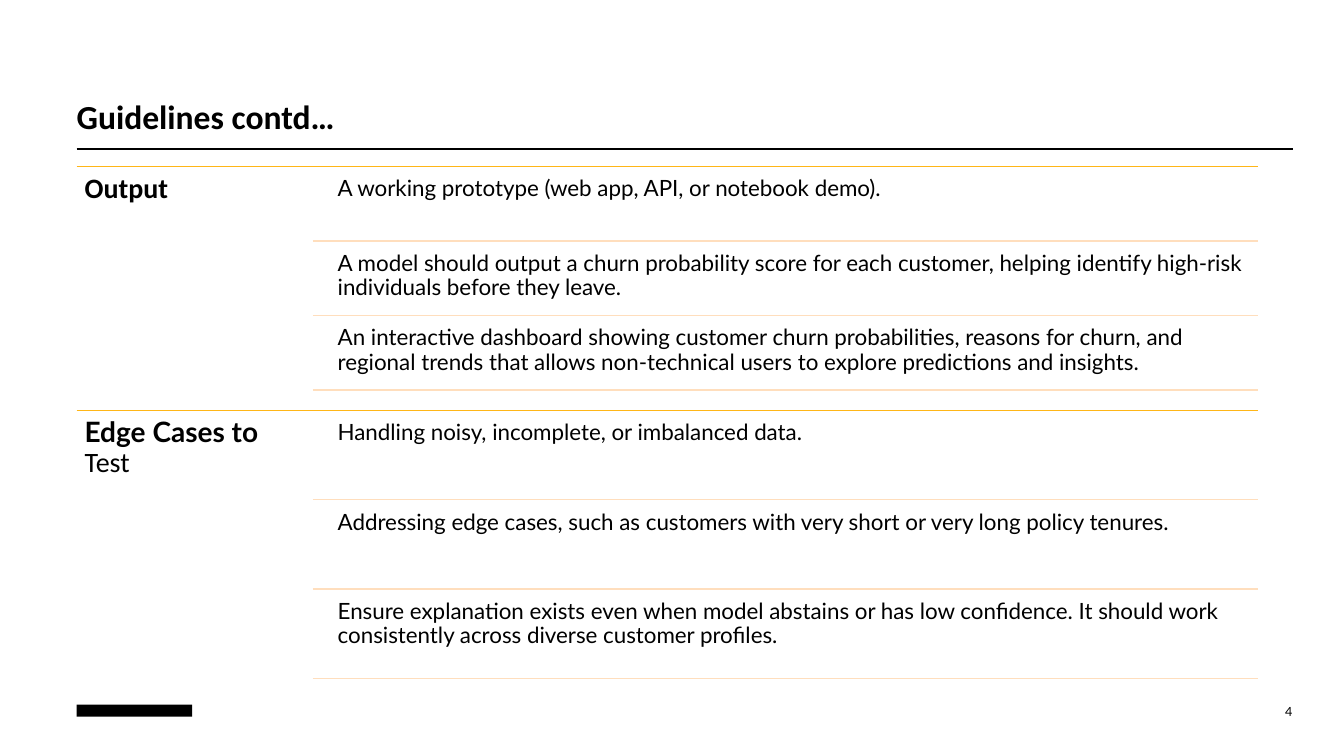
from lxml.etree import SubElement
from pptx import Presentation
from pptx.dml.color import RGBColor as Rgb
from pptx.enum.shapes import MSO_CONNECTOR as Conn, MSO_SHAPE as Kind
from pptx.enum.text import MSO_ANCHOR as Anchor, PP_ALIGN as Align
from pptx.oxml.ns import qn
from pptx.util import Inches, Pt

WIDE, HIGH = 13.33, 7.5
COL, ROW = WIDE / 100, HIGH / 100
LEFT = 5.7
COLORS = {"ink": "000000", "gold": "FFB617", "sand": "FFDEBD"}
TOPICS = [
    ((LEFT, 22, 87.92, 29.6), [("Output", "Calibri", True)], [
        "A working prototype (web app, API, or notebook demo).",
        "A model should output a churn probability score for each customer, "
        "helping identify high-risk individuals before they leave.",
        "An interactive dashboard showing customer churn probabilities, reasons for churn, "
        "and regional trends that allows non-technical users to explore predictions and insights.",
    ]),
    ((LEFT, 54.27, 87.92, 35.47), [("Edge Cases to ", "Lato", True), ("Test", "Calibri", False)], [
        "Handling noisy, incomplete, or imbalanced data.",
        "Addressing edge cases, such as customers with very short or very long policy tenures.",
        "Ensure explanation exists even when model abstains or has low confidence. "
        "It should work consistently across diverse customer profiles.",
    ]),
]


def place(box):
    """Turn a box in columns and rows into slide lengths."""
    x, y, w, h = box
    return Inches(x * COL), Inches(y * ROW), Inches(w * COL), Inches(h * ROW)


def rule(slide, x, y, w, color):
    """Draw a thin level line."""
    left, top, width, _ = place((x, y, w, 0))
    line = slide.shapes.add_connector(Conn.STRAIGHT, left, top, left + width, top)
    line.line.color.rgb = Rgb.from_string(COLORS[color])
    line.line.width = Pt(1)
    SubElement(line._element.spPr, qn("a:effectLst"))


def write(slide, box, runs, size, inset=0, anchor=Anchor.TOP, align=Align.LEFT):
    """Put one paragraph of (text, font, bold) runs in a box."""
    frame = slide.shapes.add_textbox(*place(box)).text_frame
    frame.word_wrap = True
    frame.vertical_anchor = anchor
    frame.margin_left = frame.margin_right = Inches(inset)
    frame.margin_top = frame.margin_bottom = Inches(inset)
    para = frame.paragraphs[0]
    para.alignment = align
    para.line_spacing = 0.9
    for text, face, bold in runs:
        run = para.add_run()
        run.text = text
        run.font.name, run.font.size, run.font.bold = face, Pt(size), bold
        run.font.color.rgb = Rgb.from_string(COLORS["ink"])


def header(slide, box):
    """Place the title with the black rule below it."""
    x, y, w, h = box
    write(slide, (x, y, 0.73 * w, 0.89 * h), [("Guidelines contd…", "Calibri", True)], 24,
          anchor=Anchor.BOTTOM)
    rule(slide, x, y + h, w, "ink")


def topic(slide, box, label, items):
    """Place a label beside its ruled list of items."""
    x, y, w, h = box
    step, gap = h / len(items), 0.53
    rule(slide, x, y, w, "gold")
    write(slide, (x, y, 0.2 * w, h + gap), label, 20, 0.08)
    for n, item in enumerate(items):
        top = y + n * step
        write(slide, (x + 0.215 * w, top + gap, 0.785 * w, step - gap),
              [(item, "Lato", False)], 16, 0.07)
        rule(slide, x + 0.2 * w, top + step, 0.8 * w, "sand")


def footer(slide, box):
    """Place the plain brand bar and the page number."""
    x, y, w, h = box
    bar = slide.shapes.add_shape(Kind.RECTANGLE, *place((x, y, 0.095 * w, 0.8 * h)))
    bar.shadow.inherit = False
    bar.fill.solid()
    bar.fill.fore_color.rgb = Rgb.from_string(COLORS["ink"])
    bar.line.fill.background()
    write(slide, (x + 0.955 * w, y, 0.045 * w, h), [("4", "Lato", False)], 9,
          anchor=Anchor.MIDDLE, align=Align.RIGHT)


def main():
    """Build the slide and save it."""
    deck = Presentation()
    deck.slide_width, deck.slide_height = Inches(WIDE), Inches(HIGH)
    slide = deck.slides.add_slide(deck.slide_layouts[6])
    header(slide, (LEFT, 5.2, 90.47, 14.53))
    for box, label, items in TOPICS:
        topic(slide, box, label, items)
    footer(slide, (LEFT, 93.2, 90.47, 2))
    deck.save("out.pptx")


if __name__ == "__main__":
    main()
